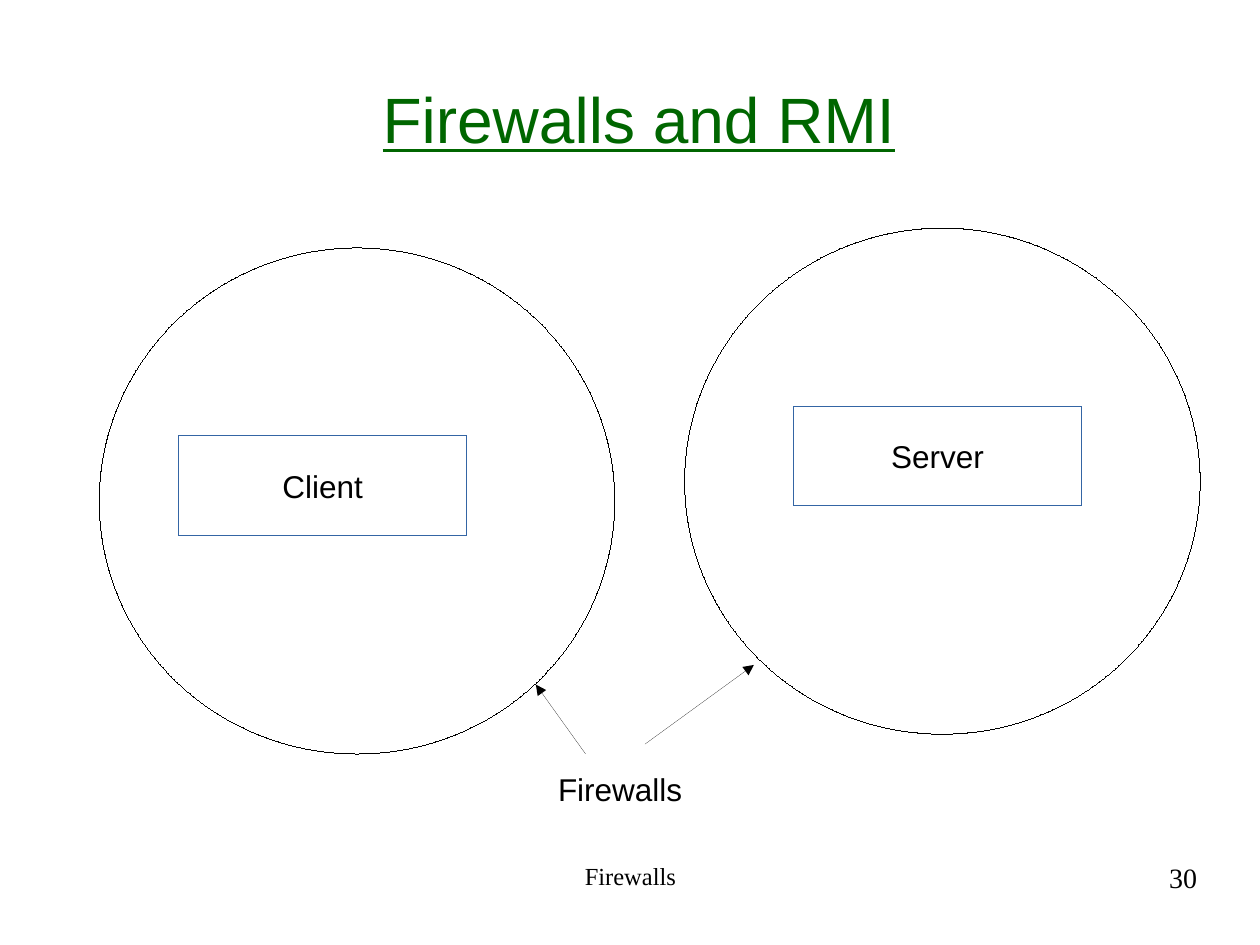
from lxml import etree
from pptx import Presentation
from pptx.dml.color import RGBColor
from pptx.enum import shapes, text
from pptx.oxml import ns
from pptx.util import Pt

COLORS = {"title": "006600", "ink": "000000", "box": "FFFFFF", "border": "3465A4"}
SANS, SERIF = "Arial", "Times New Roman"
LEFT, CENTER, RIGHT = text.PP_ALIGN.LEFT, text.PP_ALIGN.CENTER, text.PP_ALIGN.RIGHT
TOP, MIDDLE = text.MSO_ANCHOR.TOP, text.MSO_ANCHOR.MIDDLE


def write(shape, words, size, font=SANS, ink="ink", align=CENTER, anchor=TOP,
          insets=(0, 0), wrap=True, underline=None):
    """Put one formatted line of text in a shape; insets are (side, top and bottom)."""
    side, edge = insets
    frame = shape.text_frame
    layout = {"word_wrap": wrap, "vertical_anchor": anchor,
              "margin_left": Pt(side), "margin_right": Pt(side),
              "margin_top": Pt(edge), "margin_bottom": Pt(edge)}
    for name, value in layout.items():
        setattr(frame, name, value)
    para = frame.paragraphs[0]
    para.alignment = align
    span = para.add_run()
    span.text = words
    for name, value in {"name": font, "size": Pt(size), "underline": underline}.items():
        setattr(span.font, name, value)
    span.font.color.rgb = RGBColor.from_string(COLORS[ink])


def draw_hairline(shape, ink):
    """Give a zero-width line; line.width = 0 would drop the attribute and use the theme's."""
    shape.line.color.rgb = RGBColor.from_string(COLORS[ink])
    outline = shape.line._get_or_add_ln()
    outline.set("w", "0")
    return outline


deck = Presentation()
deck.slide_width, deck.slide_height = Pt(720), Pt(540)
page = deck.slides.add_slide(deck.slide_layouts[6])

title = page.shapes.add_textbox(Pt(36), Pt(21.6), Pt(658), Pt(91.4))
write(title, "Firewalls and RMI", 36.6, ink="title", anchor=MIDDLE, underline=True)

# Client and server boxes
for words, left, top in [("Client", 102.2, 249.1), ("Server", 453.6, 232.2)]:
    box = page.shapes.add_shape(shapes.MSO_SHAPE.RECTANGLE, Pt(left), Pt(top), Pt(164.4), Pt(56.7))
    box.shadow.inherit = False
    box.fill.solid()
    box.fill.fore_color.rgb = RGBColor.from_string(COLORS["box"])
    draw_hairline(box, "border")
    write(box, words, 18, anchor=MIDDLE, insets=(7.2, 3.6), wrap=False)

# Firewall circles around them
for left, top in [(56.7, 141.7), (391.2, 130.4)]:
    firewall = page.shapes.add_shape(shapes.MSO_SHAPE.OVAL, Pt(left), Pt(top), Pt(294.6), Pt(289.2))
    firewall.shadow.inherit = False
    firewall.fill.background()
    draw_hairline(firewall, "ink")

label = page.shapes.add_textbox(Pt(311.8), Pt(436.4), Pt(86), Pt(27.4))
write(label, "Firewalls", 18, align=LEFT, insets=(7.2, 3.6), wrap=False)
label.text_frame.auto_size = text.MSO_AUTO_SIZE.SHAPE_TO_FIT_TEXT

# Arrows from the label to each firewall
for start_x, start_y, end_x, end_y in [(334.6, 430.8, 306.2, 391.2), (368.6, 425.2, 430.8, 380)]:
    arrow = page.shapes.add_connector(shapes.MSO_CONNECTOR.STRAIGHT,
                                      Pt(start_x), Pt(start_y), Pt(end_x), Pt(end_y))
    etree.SubElement(draw_hairline(arrow, "ink"), ns.qn("a:tailEnd"), type="triangle")
    etree.SubElement(arrow._element.spPr, ns.qn("a:effectLst"))

# Footer and page number
for words, left, width, size, align in [("Firewalls", 246.2, 228.2, 14, CENTER),
                                        ("30", 516.2, 167.8, 16, RIGHT)]:
    footer = page.shapes.add_textbox(Pt(left), Pt(491.8), Pt(width), Pt(37.4))
    write(footer, words, size, font=SERIF, align=align)

deck.save("out.pptx")
